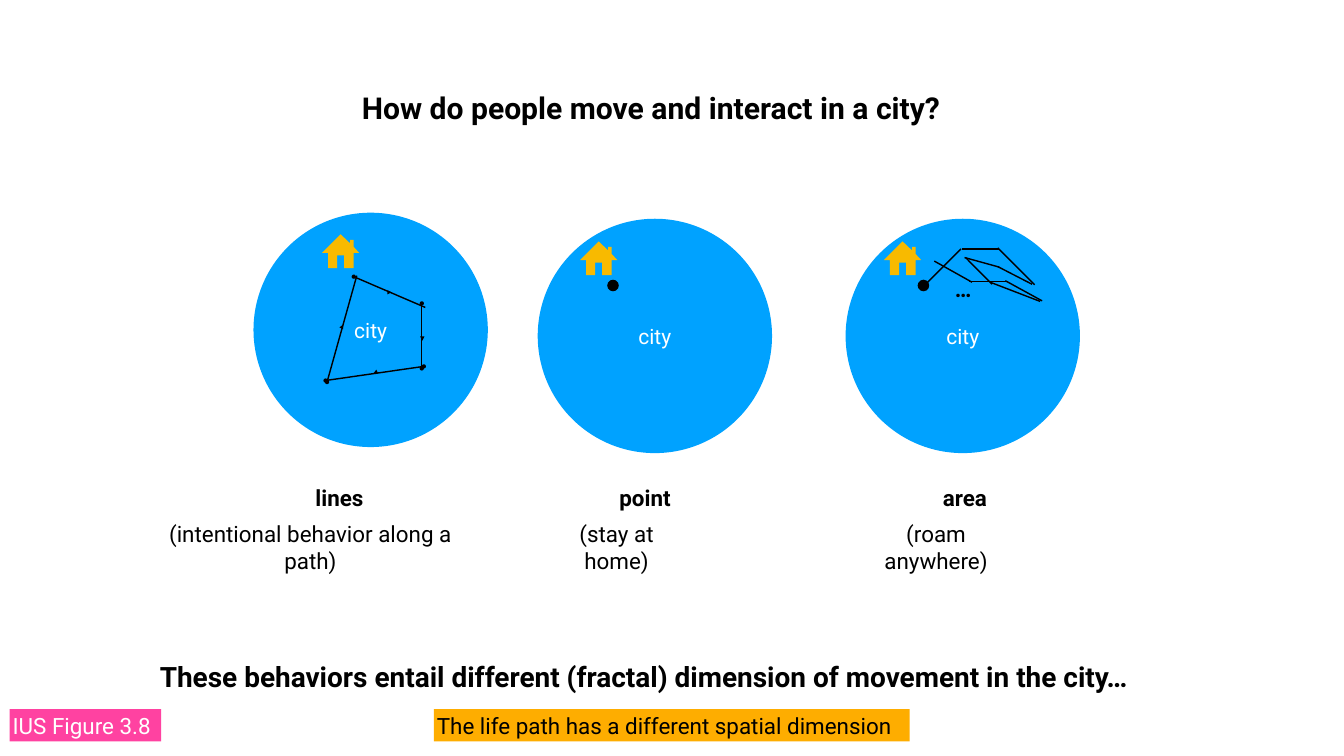
from lxml.etree import SubElement
from pptx import Presentation
from pptx.dml.color import RGBColor
from pptx.enum.shapes import MSO_CONNECTOR, MSO_SHAPE
from pptx.enum.text import MSO_ANCHOR, MSO_AUTO_SIZE, PP_ALIGN
from pptx.oxml.ns import qn
from pptx.util import Inches, Pt

FONT = "Roboto"
BLACK, WHITE = "000000", "FFFFFF"
BLUE, GOLD, ORANGE, PINK = "00A2FF", "F8BA00", "FEAD00", "FF42A1"
CITY_SIZE = 4.65
DOT_SIZE = 0.23
HOUSE = [
    (0.37, 0), (0, 0.37), (0.12, 0.37), (0.12, 0.67), (0.3, 0.67),
    (0.3, 0.42), (0.44, 0.42), (0.44, 0.67), (0.63, 0.67), (0.63, 0.37),
    (0.74, 0.37), (0.63, 0.25), (0.63, 0.11), (0.56, 0.11), (0.56, 0.18),
]
CITIES = [(5.03, 4.22), (10.67, 4.34), (16.78, 4.34)]
HOMES = [(6.39, 4.65), (11.51, 4.79), (17.54, 4.79)]
DOTS = [(12.05, 5.55), (18.21, 5.55)]
ROUTE = [
    ((8.37, 6.02), (8.37, 7.31), "oval", "oval"),
    ((7.02, 5.49), (8.44, 6.1), "oval", None),
    ((8.41, 7.27), (6.46, 7.55), "oval", "oval"),
    ((7.08, 5.47), (6.49, 7.58), None, "oval"),
    ((7.75, 5.8), (7.77, 5.8), None, "triangle"),
    ((8.38, 6.74), (8.38, 6.76), None, "triangle"),
    ((7.43, 7.4), (7.41, 7.41), None, "triangle"),
    ((6.8, 6.46), (6.81, 6.44), None, "triangle"),
]
ROAMING = [
    ((19.08, 4.94), (19.83, 4.94)),
    ((18.35, 5.66), (19.07, 4.94)),
    ((19.8, 4.92), (20.53, 5.65)),
    ((20.48, 5.64), (19.8, 5.29)),
    ((19.83, 5.3), (19.14, 5.11)),
    ((19.69, 5.64), (19.16, 5.11)),
    ((20.64, 5.98), (19.65, 5.6)),
    ((20.68, 5.97), (19.95, 5.57)),
    ((19.98, 5.58), (19.23, 5.58)),
    ((19.29, 5.6), (18.54, 5.18)),
]
HEADINGS = [("lines", 6.18, 1.16), ("point", 12.21, 1.25), ("area", 18.63, 1.1)]
DETAILS = [
    ("(intentional behavior along a path)", 3.32, 6.88),
    ("(stay at home)", 11.35, 2.97),
    ("(roam anywhere)", 17.45, 3.45),
]


def rgb(code):
    """Turn a hex string into a colour."""
    return RGBColor.from_string(code)


def write(shape, text, size, color=BLACK, bold=False,
          align=PP_ALIGN.LEFT, insets=(0.08, 0.08)):
    """Put one formatted run into a shape, with left and right insets."""
    frame = shape.text_frame
    frame.auto_size = MSO_AUTO_SIZE.NONE
    frame.word_wrap = True
    frame.vertical_anchor = MSO_ANCHOR.MIDDLE
    frame.margin_left, frame.margin_right = map(Inches, insets)
    frame.margin_top = frame.margin_bottom = Inches(0.06)
    para = frame.paragraphs[0]
    para.alignment = align
    para.line_spacing = 1.0
    span = para.add_run()
    span.text = text
    span.font.name = FONT
    span.font.size = Pt(size)
    span.font.bold = bold
    span.font.color.rgb = rgb(color)


def paint(shape, color):
    """Give a shape a plain fill without line or shadow."""
    shape.shadow.inherit = False
    shape.fill.solid()
    shape.fill.fore_color.rgb = rgb(color)
    shape.line.fill.background()


def add_title(page, text):
    """Place and format the title placeholder."""
    title = page.shapes.title
    title.left, title.top = Inches(7.1), Inches(1.7)
    title.width, title.height = Inches(12.47), Inches(0.86)
    write(title, text, 43, bold=True)


def add_text(page, text, left, top, width, height, size, **style):
    """Add a text box."""
    box = page.shapes.add_textbox(
        Inches(left), Inches(top), Inches(width), Inches(height))
    write(box, text, size, **style)


def add_shape(page, kind, left, top, width, height, color):
    """Add a plain filled preset shape."""
    shape = page.shapes.add_shape(
        kind, Inches(left), Inches(top), Inches(width), Inches(height))
    paint(shape, color)
    return shape


def add_city(page, left, top):
    """Add a city circle with its label."""
    city = add_shape(page, MSO_SHAPE.OVAL, left, top, CITY_SIZE, CITY_SIZE, BLUE)
    write(city, "city", 30, WHITE, align=PP_ALIGN.CENTER)


def add_house(page, left, top):
    """Add a house outline."""
    points = [(Inches(left + x), Inches(top + y)) for x, y in HOUSE]
    builder = page.shapes.build_freeform(*points[0])
    builder.add_line_segments(points[1:], close=True)
    paint(builder.convert_to_shape(), GOLD)


def add_line(page, start, end, head=None, tail=None):
    """Add a straight line with optional end marks."""
    line = page.shapes.add_connector(
        MSO_CONNECTOR.STRAIGHT, *map(Inches, start + end))
    line.line.color.rgb = rgb(BLACK)
    line.line.width = Pt(2)
    properties = line.line._get_or_add_ln()
    for tag, mark in (("a:headEnd", head), ("a:tailEnd", tail)):
        if mark:
            SubElement(properties, qn(tag), type=mark)
    SubElement(line._element.spPr, qn("a:effectLst"))


def add_tag(page, text, left, width, fill, color):
    """Add a coloured label at the foot of the page."""
    tag = add_shape(page, MSO_SHAPE.RECTANGLE, left, 14.07, width, 0.64, fill)
    write(tag, text, 32, color, insets=(0.06, 0.06))


def main():
    """Build the slide and save it."""
    deck = Presentation()
    deck.slide_width, deck.slide_height = Inches(26.67), Inches(15)
    page = deck.slides.add_slide(deck.slide_layouts[5])
    add_title(page, "How do people move and interact in a city?")
    for city, home in zip(CITIES, HOMES):
        add_city(page, *city)
        add_house(page, *home)
    for dot in DOTS:
        add_shape(page, MSO_SHAPE.OVAL, *dot, DOT_SIZE, DOT_SIZE, BLACK)
    for segment in ROUTE + ROAMING:
        add_line(page, *segment)
    add_text(page, "…", 18.87, 5.38, 0.61, 0.69, 32, bold=True)
    for text, left, width in HEADINGS:
        add_text(page, text, left, 9.52, width, 0.69, 32, bold=True)
    for text, left, width in DETAILS:
        add_text(page, text, left, 10.52, width, 0.67, 32,
                 align=PP_ALIGN.CENTER, insets=(0, 1.2))
    add_text(page, "These behaviors entail different (fractal) dimension of "
             "movement in the city…", 3.09, 13.01, 20.48, 0.82, 40, bold=True)
    add_tag(page, "The life path has a different spatial dimension",
            8.61, 9.44, ORANGE, BLACK)
    add_tag(page, "IUS Figure 3.8", 0.19, 3.01, PINK, WHITE)
    deck.save("out.pptx")


if __name__ == "__main__":
    main()
